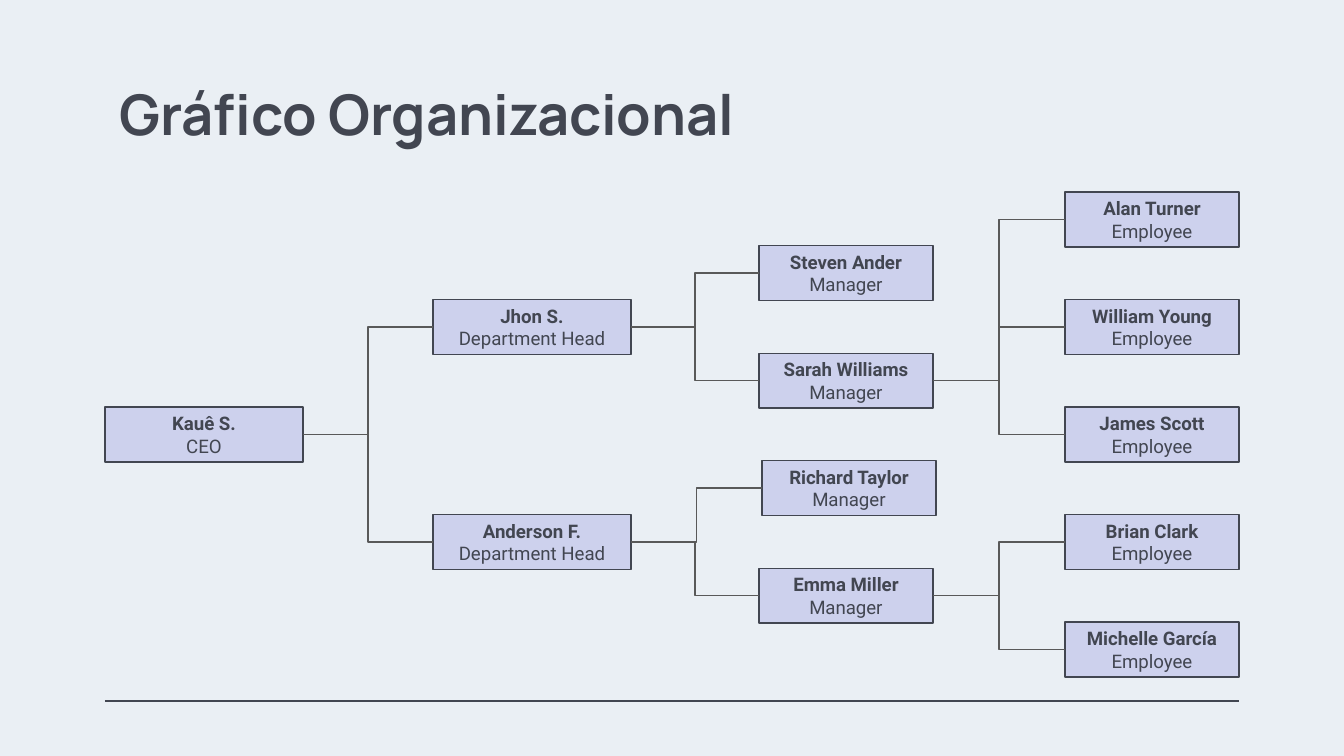
from collections import namedtuple

from lxml import etree
from pptx import Presentation
from pptx.dml.color import RGBColor
from pptx.enum.shapes import MSO_CONNECTOR, MSO_SHAPE
from pptx.enum.text import MSO_ANCHOR, PP_ALIGN
from pptx.oxml.ns import qn
from pptx.util import Emu, Pt

RECTANGLE = MSO_SHAPE.RECTANGLE
ELBOW, STRAIGHT = MSO_CONNECTOR.ELBOW, MSO_CONNECTOR.STRAIGHT
TOP, MIDDLE = MSO_ANCHOR.TOP, MSO_ANCHOR.MIDDLE
LEFT, CENTER = PP_ALIGN.LEFT, PP_ALIGN.CENTER
LEFT_SIDE, RIGHT_SIDE = 1, 3

SLIDE_W, SLIDE_H = 1344, 756
SCALE = 9144000 / SLIDE_W

Box = namedtuple("Box", "left top width height")
Person = namedtuple("Person", "name role level row boss nudge", defaults=(None, 0))


class Theme:
    background = RGBColor(0xEA, 0xEF, 0xF4)
    ink = RGBColor(0x42, 0x46, 0x51)
    branch = RGBColor(0x59, 0x59, 0x59)
    card = RGBColor(0x59, 0x5B, 0xD1)
    card_alpha = 20000
    line_width = Pt(0.75)
    title_font = {"name": "Manrope", "size": Pt(30), "bold": True}
    name_font = {"name": "Roboto", "size": Pt(10), "bold": True}
    role_font = {"name": "Roboto", "size": Pt(10), "bold": False}


TITLE_BOX = Box(106, 66, 1133, 85)
CHART_BOX = Box(105, 192, 1134, 485)
FOOTER_BOX = Box(105, 701, 1134, 0)

CARD_H = 55
LAST_ROW = 8
LEVELS = [(0, 198), (328, 198), (654, 174), (960, 174)]

PEOPLE = [
    Person("Kauê S.", "CEO", 0, 4),
    Person("Jhon S.", "Department Head", 1, 2, "Kauê S."),
    Person("Anderson F.", "Department Head", 1, 6, "Kauê S."),
    Person("Steven Ander", "Manager", 2, 1, "Jhon S."),
    Person("Sarah Williams", "Manager", 2, 3, "Jhon S."),
    Person("Richard Taylor", "Manager", 2, 5, "Anderson F.", 3),
    Person("Emma Miller", "Manager", 2, 7, "Anderson F."),
    Person("Alan Turner", "Employee", 3, 0, "Sarah Williams"),
    Person("William Young", "Employee", 3, 2, "Sarah Williams"),
    Person("James Scott", "Employee", 3, 4, "Sarah Williams"),
    Person("Brian Clark", "Employee", 3, 6, "Emma Miller"),
    Person("Michelle García", "Employee", 3, 8, "Emma Miller"),
]


def px(length):
    return Emu(round(length * SCALE))


def set_values(target, values):
    for attribute, value in values.items():
        setattr(target, attribute, value)


def write_lines(frame, lines, anchor, alignment):
    set_values(frame, {"word_wrap": True, "vertical_anchor": anchor})
    for index, (text, font_values) in enumerate(lines):
        paragraph = frame.add_paragraph() if index else frame.paragraphs[0]
        paragraph.alignment = alignment
        run = paragraph.add_run()
        run.text = text
        set_values(run.font, font_values)
        run.font.color.rgb = Theme.ink


def set_line(line, color):
    line.color.rgb = color
    line.width = Theme.line_width


def draw_connector(slide, kind, start, end, color):
    connector = slide.shapes.add_connector(kind, *map(px, start + end))
    set_line(connector.line, color)
    etree.SubElement(connector._element.spPr, qn("a:effectLst"))
    return connector


def draw_title(slide, box):
    title = slide.shapes.add_textbox(*map(px, box))
    frame = title.text_frame
    margins = ("margin_left", "margin_top", "margin_right", "margin_bottom")
    set_values(frame, dict.fromkeys(margins, Pt(7.2)))
    write_lines(frame, [("Gráfico Organizacional", Theme.title_font)], TOP, LEFT)


def draw_card(slide, box, person):
    card = slide.shapes.add_shape(RECTANGLE, *map(px, box))
    card.shadow.inherit = False
    card.fill.solid()
    card.fill.fore_color.rgb = Theme.card
    tint = card._element.spPr.find(qn("a:solidFill"))[0]
    etree.SubElement(tint, qn("a:alpha"), val=str(Theme.card_alpha))
    set_line(card.line, Theme.ink)
    frame = card.text_frame
    margins = ("margin_left", "margin_top", "margin_right", "margin_bottom")
    set_values(frame, dict.fromkeys(margins, Pt(7.2)))
    lines = [(person.name, Theme.name_font), (person.role, Theme.role_font)]
    write_lines(frame, lines, MIDDLE, CENTER)
    return card


def draw_organization(slide, box):
    row_step = (box.height - CARD_H) / LAST_ROW
    cards = {}
    for person in PEOPLE:
        offset, width = LEVELS[person.level]
        left = box.left + offset + person.nudge
        top = box.top + row_step * person.row
        cards[person.name] = draw_card(slide, Box(left, top, width, CARD_H), person)
    for person in PEOPLE:
        if person.boss:
            branch = draw_connector(slide, ELBOW, (0, 0), (0, 0), Theme.branch)
            branch.begin_connect(cards[person.boss], RIGHT_SIDE)
            branch.end_connect(cards[person.name], LEFT_SIDE)


def draw_footer(slide, box):
    start = (box.left, box.top)
    end = (box.left + box.width, box.top)
    draw_connector(slide, STRAIGHT, start, end, Theme.ink)


def main():
    presentation = Presentation()
    set_values(presentation, {"slide_width": px(SLIDE_W), "slide_height": px(SLIDE_H)})
    slide = presentation.slides.add_slide(presentation.slide_layouts[6])
    slide.background.fill.solid()
    slide.background.fill.fore_color.rgb = Theme.background
    draw_footer(slide, FOOTER_BOX)
    draw_title(slide, TITLE_BOX)
    draw_organization(slide, CHART_BOX)
    presentation.save("out.pptx")


if __name__ == "__main__":
    main()
